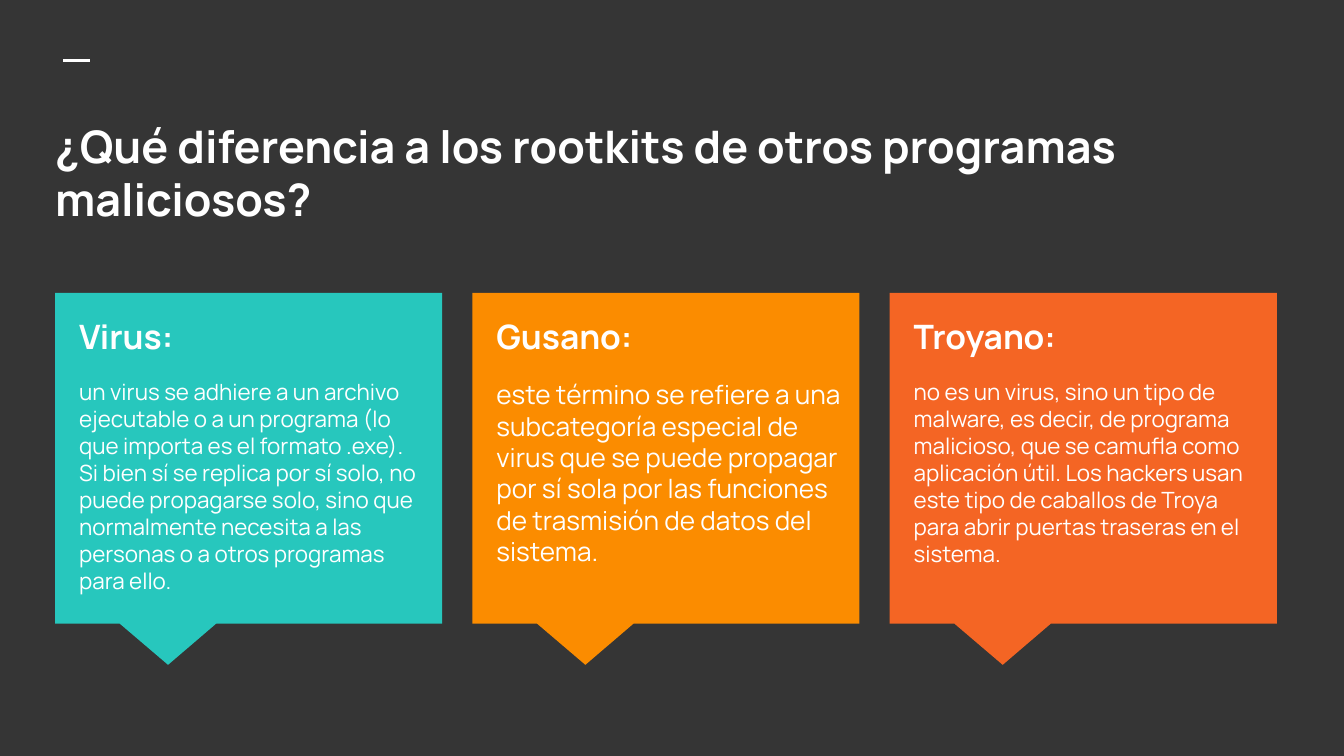
from pptx import Presentation
from pptx.dml.color import RGBColor
from pptx.enum.shapes import MSO_CONNECTOR, MSO_SHAPE
from pptx.enum.text import MSO_ANCHOR, MSO_AUTO_SIZE, PP_ALIGN
from pptx.oxml.ns import qn
from pptx.util import Inches, Pt
from lxml import etree

STRAIGHT = MSO_CONNECTOR.STRAIGHT
CALLOUT = MSO_SHAPE.RECTANGULAR_CALLOUT
TOP = MSO_ANCHOR.TOP
LEFT = PP_ALIGN.LEFT
NO_FIT = MSO_AUTO_SIZE.NONE

FONT = "Manrope"
BACKGROUND, WHITE = "353535", "FFFFFF"
TITLE = "¿Qué diferencia a los rootkits de otros programas maliciosos?"
CARDS = [
    ("Virus:", "un virus se adhiere a un archivo ejecutable o a un programa "
     "(lo que importa es el formato .exe). Si bien sí se replica por sí solo, "
     "no puede propagarse solo, sino que normalmente necesita a las personas "
     "o a otros programas para ello.", 12, "27C7BD", 2.71),
    ("Gusano:", "este término se refiere a una subcategoría especial de virus "
     "que se puede propagar por sí sola por las funciones de trasmisión de "
     "datos del sistema.", 14, "FB8C00", 2.79),
    ("Troyano:", "no es un virus, sino un tipo de malware, es decir, de "
     "programa malicioso, que se camufla como aplicación útil. Los hackers "
     "usan este tipo de caballos de Troya para abrir puertas traseras en el "
     "sistema.", 12, "F46524", 2.71),
]
SLIDE_WIDTH = 10
FIRST_LEFT, LAST_LEFT = 0.41, 6.62
CARD_TOP, CARD_WIDTH, CARD_HEIGHT = 2.18, 2.88, 2.46
CARD_STEP = (LAST_LEFT - FIRST_LEFT) / (len(CARDS) - 1)
TEXT_INSET, TEXT_TOP, TEXT_HEIGHT = 0.08, 2.25, 2.19


def color(value):
    return RGBColor.from_string(value)


def prepare(frame):
    frame.word_wrap = True
    frame.auto_size = NO_FIT
    frame.vertical_anchor = TOP
    frame.margin_left = frame.margin_right = Inches(0.1)
    frame.margin_top = frame.margin_bottom = Inches(0.1)


def write(para, text, size, bold):
    para.text = text
    para.alignment = LEFT
    para.font.name = FONT
    para.font.size = Pt(size)
    para.font.bold = bold
    para.font.color.rgb = color(WHITE)


def add_callout(page, left, fill):
    callout = page.shapes.add_shape(
        CALLOUT, Inches(left), Inches(CARD_TOP),
        Inches(CARD_WIDTH), Inches(CARD_HEIGHT))
    callout.adjustments[0] = -0.208
    callout.adjustments[1] = 0.625
    callout.shadow.inherit = False
    callout.fill.solid()
    callout.fill.fore_color.rgb = color(fill)
    callout.line.fill.background()


def add_card_text(page, left, heading, body, size, width):
    box = page.shapes.add_textbox(
        Inches(left), Inches(TEXT_TOP), Inches(width), Inches(TEXT_HEIGHT))
    frame = box.text_frame
    prepare(frame)
    write(frame.paragraphs[0], heading, 18, True)
    para = frame.add_paragraph()
    write(para, body, size, False)
    para.space_before = para.space_after = Pt(12)


def main():
    deck = Presentation()
    deck.slide_width = Inches(SLIDE_WIDTH)
    deck.slide_height = Inches(SLIDE_WIDTH * 9 / 16)
    page = deck.slides.add_slide(deck.slide_layouts[5])
    page.background.fill.solid()
    page.background.fill.fore_color.rgb = color(BACKGROUND)

    dash = page.shapes.add_connector(
        STRAIGHT, Inches(0.47), Inches(0.45), Inches(0.67), Inches(0.45))
    dash.line.color.rgb = color(WHITE)
    dash.line.width = Pt(1.5)
    etree.SubElement(dash._element.spPr, qn("a:effectLst"))

    title = page.shapes.title
    title.left, title.top = Inches(0.31), Inches(0.78)
    title.width, title.height = Inches(9.43), Inches(1.12)
    prepare(title.text_frame)
    write(title.text_frame.paragraphs[0], TITLE, 24, True)

    for index, (heading, body, size, fill, text_width) in enumerate(CARDS):
        left = FIRST_LEFT + index * CARD_STEP
        add_callout(page, left, fill)
        add_card_text(page, left + TEXT_INSET, heading, body, size, text_width)

    deck.save("out.pptx")


if __name__ == "__main__":
    main()
